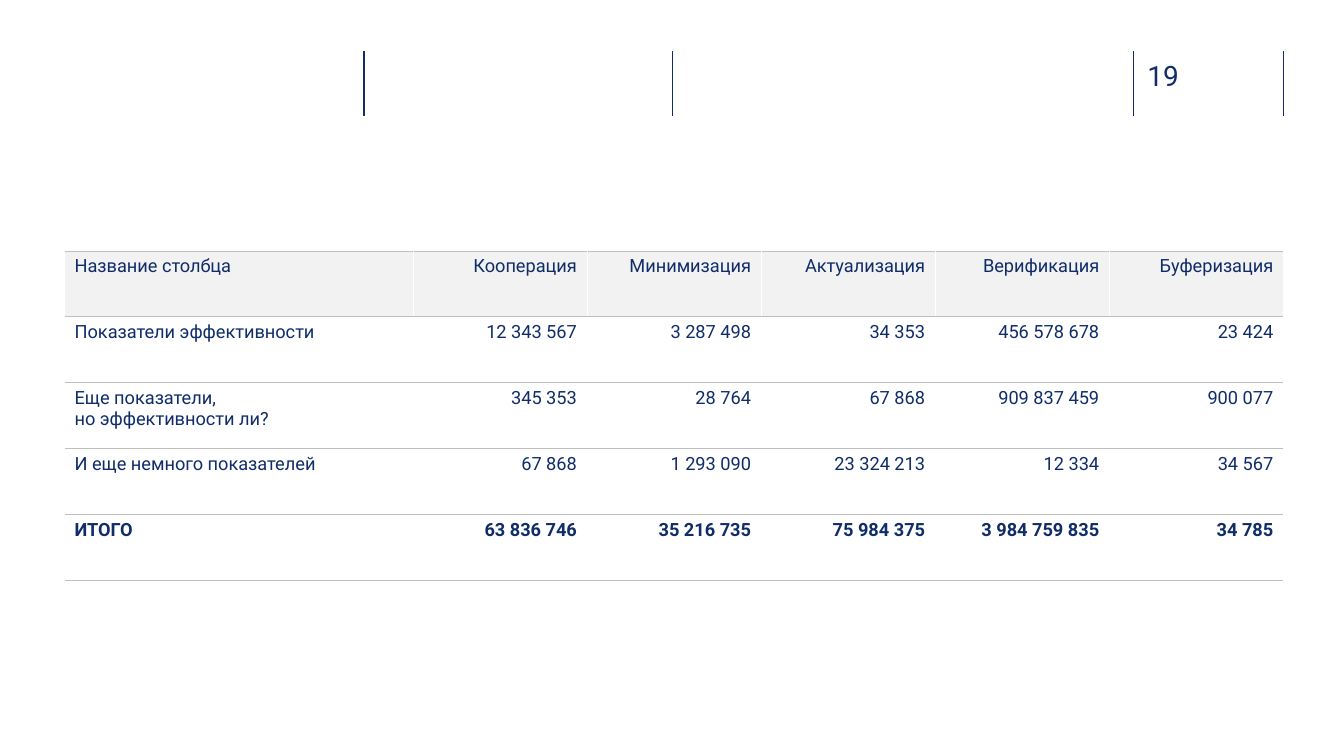
"""Build a slide with a table of indicators under a ruled page header."""
from dataclasses import dataclass

from lxml import etree
from pptx import Presentation
from pptx.dml.color import RGBColor
from pptx.enum.shapes import MSO_CONNECTOR
from pptx.enum.text import PP_ALIGN
from pptx.oxml.ns import qn
from pptx.util import Inches, Pt

STRAIGHT = MSO_CONNECTOR.STRAIGHT
LEFT, RIGHT = PP_ALIGN.LEFT, PP_ALIGN.RIGHT

PAGE = "19"
ROWS = [
    ("Название столбца", "Кооперация", "Минимизация", "Актуализация", "Верификация", "Буферизация"),
    ("Показатели эффективности", "12 343 567", "3 287 498", "34 353", "456 578 678", "23 424"),
    ("Еще показатели, \vно эффективности ли?", "345 353", "28 764", "67 868", "909 837 459", "900 077"),
    ("И еще немного показателей", "67 868", "1 293 090", "23 324 213", "12 334", "34 567"),
    ("ИТОГО", "63 836 746", "35 216 735", "75 984 375", "3 984 759 835", "34 785"),
]

WIDTH, HEIGHT = 13.33, 7.5
RULES_X, RULE_TOP, RULE_BOTTOM = (3.61, 6.67, 11.24, 12.73), 0.51, 1.15
PAGE_BOX = (11.38, 0.58, 0.73, 0.34)
TABLE_BOX = (0.64, 2.49, 12.09, 3.27)
COL_SHARES = (2, 1, 1, 1, 1, 1)


@dataclass(frozen=True)
class Theme:
    font: str = "Roboto"
    ink: str = "102D69"
    header: str = "F2F2F2"
    rule: str = "BFBFBF"
    gap: str = "FFFFFF"
    page_size: int = 20
    cell_size: int = 13
    header_line: float = 1
    row_line: float = 0.75
    gap_line: float = 0.25


THEME = Theme()


def style(p, size, align=LEFT, bold=False):
    p.alignment = align
    p.font.name = THEME.font
    p.font.size = Pt(size)
    p.font.bold = bold
    p.font.color.rgb = RGBColor.from_string(THEME.ink)


def add_rule(s, x):
    line = s.shapes.add_connector(
        STRAIGHT, Inches(x), Inches(RULE_TOP), Inches(x), Inches(RULE_BOTTOM))
    line.line.color.rgb = RGBColor.from_string(THEME.ink)
    line.line.width = Pt(THEME.header_line)
    etree.SubElement(line._element.spPr, qn("a:effectLst"))


def add_page_number(s):
    tf = s.shapes.add_textbox(*map(Inches, PAGE_BOX)).text_frame
    tf.word_wrap = True
    tf.margin_left = tf.margin_top = tf.margin_right = tf.margin_bottom = 0
    tf.text = PAGE
    style(tf.paragraphs[0], THEME.page_size)


def add_border(cell, side, color, width):
    ln = etree.SubElement(cell._tc.get_or_add_tcPr(), qn(f"a:ln{side}"), w=str(Pt(width)))
    if color:
        fill = etree.SubElement(ln, qn("a:solidFill"))
        etree.SubElement(fill, qn("a:srgbClr"), val=color)
    else:
        etree.SubElement(ln, qn("a:noFill"))


def fill_cell(cell, text, row, col):
    cell.text = text
    for p in cell.text_frame.paragraphs:
        style(p, THEME.cell_size, RIGHT if col else LEFT, row == len(ROWS) - 1)
    add_border(cell, "L", THEME.gap if col else None, THEME.gap_line)
    add_border(cell, "R", THEME.gap if col < len(COL_SHARES) - 1 else None, THEME.gap_line)
    for side in "TB":
        add_border(cell, side, THEME.rule, THEME.row_line)
    if row:
        cell.fill.background()
    else:
        cell.fill.solid()
        cell.fill.fore_color.rgb = RGBColor.from_string(THEME.header)


def add_indicators(s):
    table = s.shapes.add_table(len(ROWS), len(COL_SHARES), *map(Inches, TABLE_BOX)).table
    table.first_row = table.horz_banding = False
    for column, share in zip(table.columns, COL_SHARES):
        column.width = Inches(TABLE_BOX[2] * share / sum(COL_SHARES))
    for r, values in enumerate(ROWS):
        table.rows[r].height = Inches(TABLE_BOX[3] / len(ROWS))
        for c, value in enumerate(values):
            fill_cell(table.cell(r, c), value, r, c)


def main():
    prs = Presentation()
    prs.slide_width, prs.slide_height = Inches(WIDTH), Inches(HEIGHT)
    s = prs.slides.add_slide(prs.slide_layouts[6])
    for x in RULES_X:
        add_rule(s, x)
    add_page_number(s)
    add_indicators(s)
    prs.save("out.pptx")


if __name__ == "__main__":
    main()
